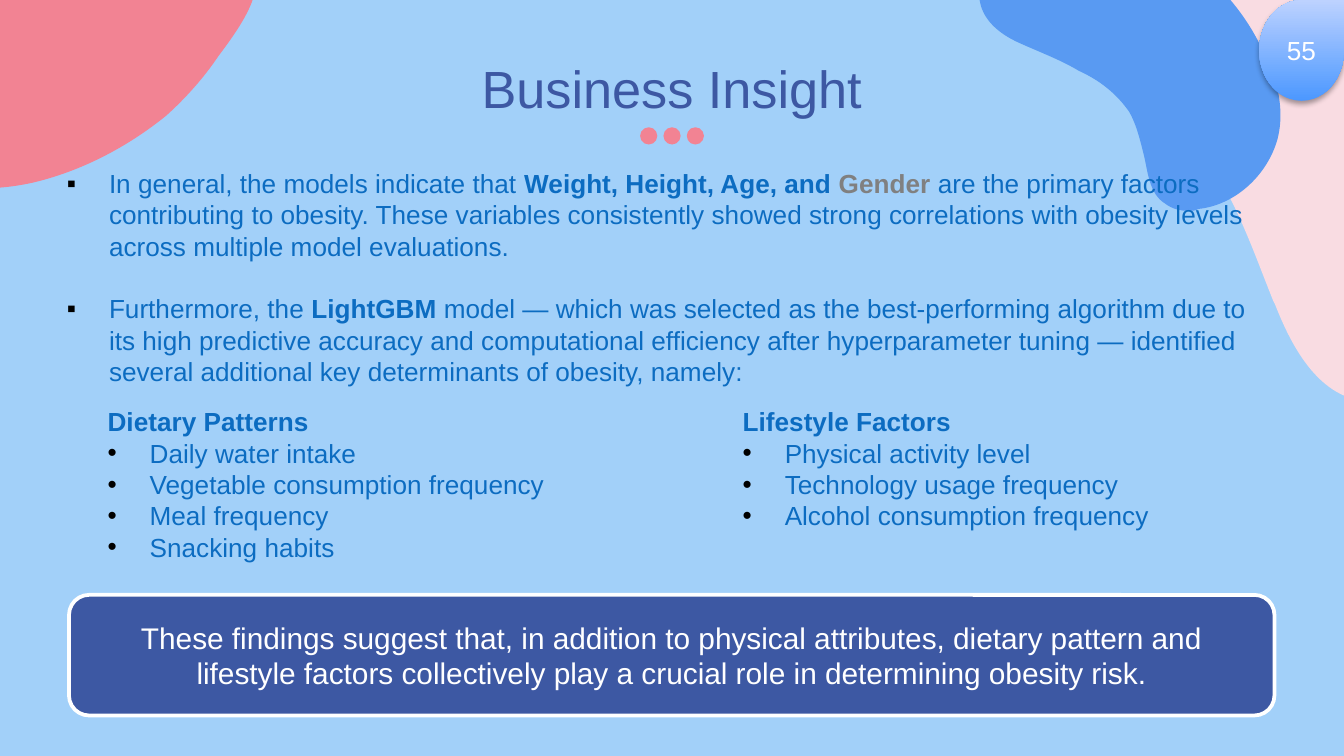
from math import cos, radians, sin

from lxml import etree
from pptx import Presentation
from pptx.dml.color import RGBColor
from pptx.enum.shapes import MSO_SHAPE
from pptx.enum.text import MSO_ANCHOR, PP_ALIGN
from pptx.oxml.ns import qn
from pptx.util import Pt

ELLIPSE = MSO_SHAPE.OVAL
TEARDROP = MSO_SHAPE.TEAR
ROUNDED = MSO_SHAPE.ROUNDED_RECTANGLE
MIDDLE, TOP = MSO_ANCHOR.MIDDLE, MSO_ANCHOR.TOP
CENTER, LEFT = PP_ALIGN.CENTER, PP_ALIGN.LEFT

SKY, PINK, BLUE, CORAL = "A2D0F9", "F9DCE2", "599AF2", "F28393"
NAVY, TEXT_BLUE, GRAY, WHITE, BLACK = "3D58A3", "0C6CC1", "808080", "FFFFFF", "000000"
FONT = "Arial"
LINE_FACTOR = 1.2
INDENT = 22.5

# Each outline is a start point followed by cubic curves: two controls and an end.
PINK_BLOB = [
    (802, 29), (775, -42, 703, -91, 622, -30), (607, -19, 594, -4, 595, 14),
    (595, 19, 595, 23, 597, 27), (604, 45, 623, 58, 636, 72),
    (652, 89, 662, 111, 671, 133), (675, 143, 678, 151, 682, 161),
    (682, 162, 682.5, 162.5, 683, 163),
    (692, 186, 706, 212, 731, 215), (748, 217, 764, 207, 776, 194),
    (819, 150, 823, 83, 802, 29)]
BLUE_BLOB = [
    (574.5, -47.5), (574.5, -47.5, 574, -47.5, 574, -47.5),
    (560, -47.5, 548, -39, 539, -30), (530, -22, 522, -11, 525, 1),
    (527, 12, 537, 19, 546, 23), (557, 28, 568, 32, 578, 38),
    (589, 43, 598, 50, 605, 60), (609, 67, 611, 76, 613, 84),
    (615, 93, 616, 104, 624, 109), (628, 112, 632, 113, 637, 113),
    (639, 113, 640, 113, 642, 112), (661, 110, 678, 95, 684, 76),
    (689, 59, 684, 40, 675, 24), (665, 4, 650, -12, 632, -24),
    (623, -31, 613, -36, 603, -40), (594, -43, 584, -47.5, 574.5, -47.5)]
CORAL_BLOB = [
    (135.5, -0.5), (135.5, -1, 135.5, -1, 135.5, -1.5),
    (140, -18, 133, -36, 126, -50), (119, -63, 108, -76, 93, -76),
    (80, -77, 68, -67, 59, -57), (50, -46, 41, -34, 31, -24),
    (22, -13, 9, -4, -4, 1), (-14, 4, -24, 4, -35, 3),
    (-47, 2, -61, 1, -71, 9), (-74, 12, -77, 17, -78, 23),
    (-79, 24, -79, 27, -80, 29), (-83, 53, -71, 78, -49, 91),
    (-30, 102, -6, 103, 17, 98), (43, 92, 68, 79, 89, 62),
    (99, 53, 109, 42, 117, 30), (123, 22, 132, 10, 135.5, -0.5)]
BLOBS = [(PINK_BLOB, PINK, 68.7), (BLUE_BLOB, BLUE, 0), (CORAL_BLOB, CORAL, 105)]

BOLD = {"bold": True}
FINDINGS = [
    [("In general, the models indicate that ", {}),
     ("Weight, Height, Age, and ", BOLD),
     ("Gender ", {"bold": True, "color": GRAY}),
     ("are the primary factors contributing to obesity. These variables consistently "
      "showed strong correlations with obesity levels across multiple model evaluations.", {})],
    [("Furthermore, the ", {}),
     ("LightGBM", BOLD),
     (" model — which was selected as the best-performing algorithm due to its high "
      "predictive accuracy and computational efficiency after hyperparameter tuning — "
      "identified several additional key determinants of obesity, namely:", {})],
]
FACTOR_LISTS = [
    (50.6, 299, "Dietary Patterns",
     ["Daily water intake", "Vegetable consumption frequency", "Meal frequency", "Snacking habits"]),
    (390.8, 292, "Lifestyle Factors",
     ["Physical activity level", "Technology usage frequency", "Alcohol consumption frequency"]),
]
CONCLUSION = ("These findings suggest that, in addition to physical attributes, dietary pattern and "
              "lifestyle factors collectively play a crucial role in determining obesity risk.")


def rgb(value):
    return RGBColor.from_string(value)


def rotate(x, y, degrees):
    angle = radians(degrees)
    return x * cos(angle) - y * sin(angle), x * sin(angle) + y * cos(angle)


def paint(shape, fill):
    shape.shadow.inherit = False
    shape.fill.solid()
    shape.fill.fore_color.rgb = rgb(fill)
    shape.line.fill.background()


def add_blob(slide, outline, fill, rotation):
    """Draw a closed outline of cubic curves as a shape turned by rotation."""
    flat = [value for part in outline for value in part]
    points = [tuple(map(Pt, rotate(x, y, -rotation))) for x, y in zip(flat[::2], flat[1::2])]
    builder = slide.shapes.build_freeform(*points[0], scale=1.0)
    builder.add_line_segments(points[1:], close=True)
    blob = builder.convert_to_shape()

    # Merge every three straight segments into one curve
    segments = list(blob._element.iter(qn("a:lnTo")))
    for first, second, third in zip(segments[::3], segments[1::3], segments[2::3]):
        curve = etree.Element(qn("a:cubicBezTo"))
        first.addprevious(curve)
        for segment in (first, second, third):
            curve.append(segment[0])
            segment.getparent().remove(segment)

    # Turn the shape about the slide's corner
    x, y = rotate(blob.left + blob.width / 2, blob.top + blob.height / 2, rotation)
    blob.left, blob.top = int(x - blob.width / 2), int(y - blob.height / 2)
    blob.rotation = rotation
    paint(blob, fill)


def add_shape(slide, kind, frame, fill):
    shape = slide.shapes.add_shape(kind, *map(Pt, frame))
    paint(shape, fill)
    return shape


def add_bullet(para, character):
    properties = para._p.get_or_add_pPr()
    properties.set("marL", str(Pt(INDENT)))
    properties.set("indent", str(-Pt(INDENT)))
    color = etree.SubElement(properties, qn("a:buClr"))
    etree.SubElement(color, qn("a:srgbClr"), val=BLACK)
    etree.SubElement(properties, qn("a:buFont"), typeface=FONT)
    etree.SubElement(properties, qn("a:buChar"), char=character)


def write_para(para, spans, size, color, align=LEFT, bullet=None, before=0):
    if bullet:
        add_bullet(para, bullet)
    layout = {"alignment": align, "line_spacing": Pt(size * LINE_FACTOR), "space_before": Pt(before)}
    for name, value in layout.items():
        setattr(para, name, value)
    for text, changes in spans:
        span = para.add_run()
        span.text = text
        look = {"name": FONT, "size": Pt(size), "bold": changes.get("bold", False)}
        for name, value in look.items():
            setattr(span.font, name, value)
        span.font.color.rgb = rgb(changes.get("color", color))


def write_text(shape, paras, anchor=TOP):
    """Fill a shape with paragraphs given as dicts of write_para arguments."""
    frame = shape.text_frame
    frame.word_wrap = True
    frame.vertical_anchor = anchor
    for index, content in enumerate(paras):
        para = frame.add_paragraph() if index else frame.paragraphs[0]
        write_para(para, **content)


def add_text(slide, frame, paras):
    box = slide.shapes.add_textbox(*map(Pt, frame))
    write_text(box, paras)
    return box


def add_page_badge(slide, number):
    badge = add_shape(slide, TEARDROP, (674.6, 0, 45.4, 54), BLUE)
    badge.fill.gradient()
    badge.fill.gradient_angle = 90
    for stop, color in zip(badge.fill.gradient_stops, ("4C98FF", "BDD2FF")):
        stop.color.rgb = rgb(color)
    effects = badge._element.spPr.find(qn("a:effectLst"))
    shadow = etree.SubElement(effects, qn("a:outerShdw"), blurRad=str(Pt(3.1)),
                              dist=str(Pt(1.8)), dir="5400000", rotWithShape="0")
    color = etree.SubElement(shadow, qn("a:srgbClr"), val=BLACK)
    etree.SubElement(color, qn("a:alpha"), val="35000")
    write_text(badge, [dict(spans=[(number, {})], size=14, color=WHITE, align=CENTER)], MIDDLE)


def main():
    deck = Presentation()
    deck.slide_width, deck.slide_height = Pt(720), Pt(405)
    slide = deck.slides.add_slide(deck.slide_layouts[6])
    slide.background.fill.solid()
    slide.background.fill.fore_color.rgb = rgb(SKY)

    # Decoration
    for index in range(3):
        add_shape(slide, ELLIPSE, (342.9 + 12.5 * index, 68.2, 9.2, 9.2), CORAL)
    for outline, fill, rotation in BLOBS:
        add_blob(slide, outline, fill, rotation)

    # Title and page number
    title = add_text(slide, (-16.2, 22.8, 752, 45.4),
                     [dict(spans=[("Business Insight", {})], size=28, color=NAVY, align=CENTER)])
    for side in ("left", "top", "right", "bottom"):
        setattr(title.text_frame, f"margin_{side}", Pt(7.2))
    add_page_badge(slide, "55")

    # Main findings
    body = {"size": 14, "color": TEXT_BLUE}
    add_text(slide, (28.8, 86.1, 661, 126),
             [dict(body, spans=spans, bullet="▪", before=16.8 if index else 0)
              for index, spans in enumerate(FINDINGS)])

    # Conclusion
    callout = add_shape(slide, ROUNDED, (37, 318.7, 645.8, 64.6), NAVY)
    callout.line.color.rgb = rgb(WHITE)
    callout.line.width = Pt(2)
    write_text(callout, [dict(spans=[(CONCLUSION, {})], size=16, color=WHITE, align=CENTER)], MIDDLE)

    # Factor lists
    for left, width, heading, items in FACTOR_LISTS:
        paras = [dict(body, spans=[(heading, BOLD)])]
        paras += [dict(body, spans=[(item, {})], bullet="•") for item in items]
        add_text(slide, (left, 213.8, width, 7.2 + 17 * len(paras)), paras)

    deck.save("out.pptx")


if __name__ == "__main__":
    main()
